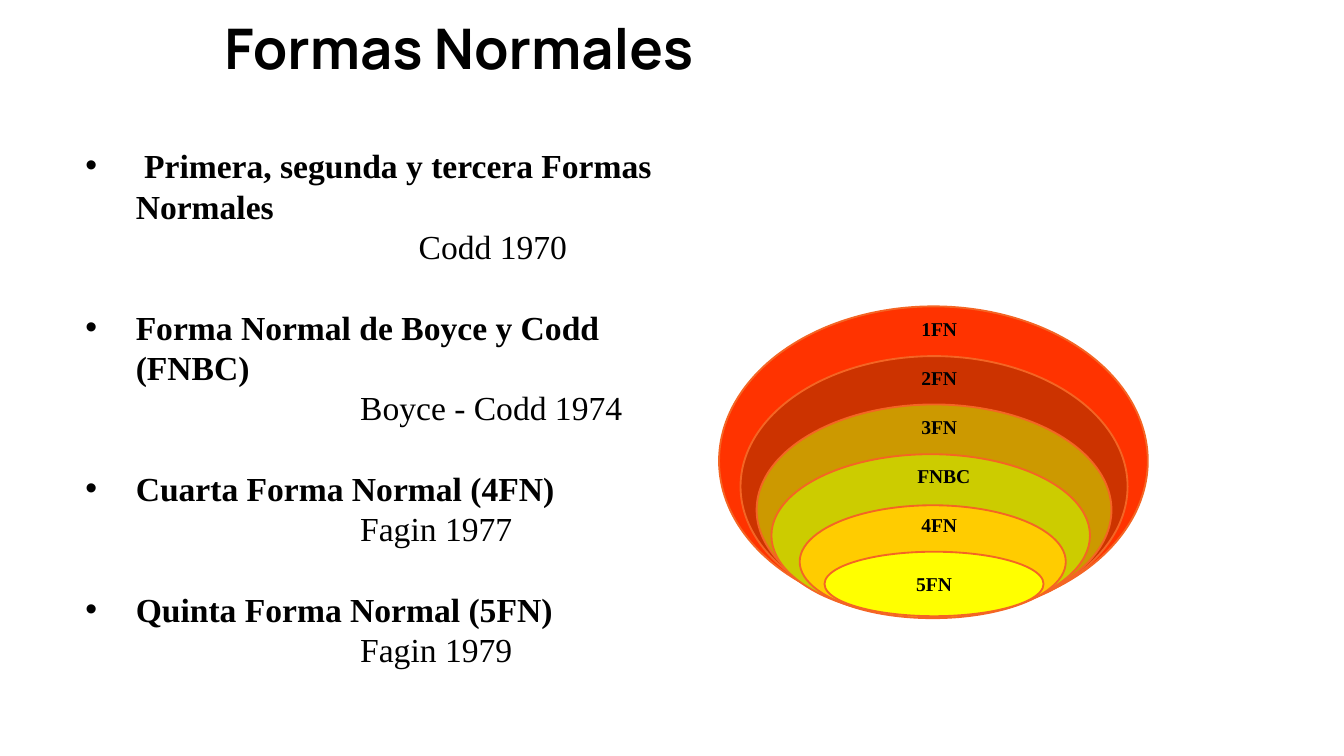
from lxml.etree import SubElement
from pptx import Presentation
from pptx.dml.color import RGBColor
from pptx.enum.shapes import MSO_SHAPE
from pptx.enum.text import MSO_ANCHOR, MSO_AUTO_SIZE, PP_ALIGN
from pptx.oxml.ns import qn
from pptx.util import Pt

PX = 4572  # EMU in one px, 200 px to the inch
BLACK = RGBColor(0x00, 0x00, 0x00)
ORANGE = RGBColor(0xF4, 0x65, 0x24)
RED = RGBColor(0xFF, 0x33, 0x00)
BRICK = RGBColor(0xCC, 0x33, 0x00)
OCHRE = RGBColor(0xCC, 0x99, 0x00)
LIME = RGBColor(0xCC, 0xCC, 0x00)
AMBER = RGBColor(0xFF, 0xCC, 0x00)
YELLOW = RGBColor(0xFF, 0xFF, 0x00)

# form, author and year, left indent of the author in px
FORMS = [
    (" Primera, segunda y tercera Formas Normales", "Codd 1970", 496),
    ("Forma Normal de Boyce y Codd (FNBC)", "Boyce - Codd 1974", 409),
    ("Cuarta Forma Normal (4FN)", "Fagin 1977", 409),
    ("Quinta Forma Normal (5FN)", "Fagin 1979", 409),
]
# left, top, width, height and fill, from the outermost level inwards
LEVELS = [
    (1070, 456, 638, 460, RED),
    (1102, 530, 576, 388, BRICK),
    (1126, 602, 528, 314, OCHRE),
    (1148, 676, 474, 242, LIME),
    (1190, 752, 396, 168, AMBER),
]
# text, left, top, width
LABELS = [
    ("1FN", 1356, 464, 85),
    ("2FN", 1356, 537, 85),
    ("3FN", 1356, 610, 85),
    ("FNBC", 1350, 683, 111),
    ("4FN", 1356, 756, 85),
]


class Slide:
    heading_font = "Manrope"
    text_font = "Times New Roman"
    bullet_font = "Arial"

    def __init__(self, deck):
        self.page = deck.slides.add_slide(deck.slide_layouts[1])
        self.shapes = self.page.shapes

    def place(self, shape, left, top, width, height):
        shape.left, shape.top = left * PX, top * PX
        shape.width, shape.height = width * PX, height * PX

    def inset(self, frame, side, end):
        frame.margin_left = frame.margin_right = side * PX
        frame.margin_top = frame.margin_bottom = end * PX

    def style(self, paragraph, size, bold=True, font=text_font):
        for span in paragraph.runs:
            span.font.name = font
            span.font.size = Pt(size)
            span.font.bold = bold
            span.font.color.rgb = BLACK

    def title(self, text, *bounds):
        box = self.shapes.title
        self.place(box, *bounds)
        frame = box.text_frame
        frame.text = text
        frame.auto_size = MSO_AUTO_SIZE.NONE
        frame.vertical_anchor = MSO_ANCHOR.TOP
        self.inset(frame, 20, 20)
        frame.paragraphs[0].alignment = PP_ALIGN.LEFT
        self.style(frame.paragraphs[0], 30, font=self.heading_font)

    def indent(self, paragraph, margin, first_line, bullet=None):
        properties = paragraph._p.get_or_add_pPr()
        properties.set("marL", str(margin * PX))
        properties.set("indent", str(first_line * PX))
        if bullet:
            color = SubElement(properties, qn("a:buClr"))
            SubElement(color, qn("a:srgbClr"), val=str(BLACK))
            SubElement(properties, qn("a:buFont"), typeface=self.bullet_font)
            SubElement(properties, qn("a:buChar"), char=bullet)
        else:
            SubElement(properties, qn("a:buNone"))

    def form_list(self, forms, *bounds):
        """Fill the body with bulleted forms, each followed by its author."""
        box = self.page.placeholders[1]
        self.place(box, *bounds)
        frame = box.text_frame
        frame.auto_size = MSO_AUTO_SIZE.NONE
        self.inset(frame, 15, 8)
        frame.text = "\n".join(line for form in forms for line in form[:2])
        for index, paragraph in enumerate(frame.paragraphs):
            is_form = index % 2 == 0
            if is_form:
                self.indent(paragraph, 75, -75, "•")
            else:
                self.indent(paragraph, forms[index // 2][2], 0)
            paragraph.line_spacing = 1.0
            paragraph.space_before = Pt(21.6 if is_form and index else 0)
            self.style(paragraph, 18, bold=is_form)

    def ellipse(self, left, top, width, height, fill, text=None):
        shape = self.shapes.add_shape(MSO_SHAPE.OVAL, *(n * PX for n in (left, top, width, height)))
        shape.shadow.inherit = False
        shape.fill.solid()
        shape.fill.fore_color.rgb = fill
        shape.line.color.rgb = ORANGE
        shape.line.width = Pt(1)
        if text:
            frame = shape.text_frame
            frame.text = text
            frame.word_wrap = False
            frame.vertical_anchor = MSO_ANCHOR.MIDDLE
            self.inset(frame, 15, 8)
            frame.paragraphs[0].alignment = PP_ALIGN.CENTER
            self.style(frame.paragraphs[0], 10.5)

    def label(self, text, left, top, width):
        box = self.shapes.add_textbox(left * PX, top * PX, width * PX, 50 * PX)
        frame = box.text_frame
        frame.text = text
        frame.word_wrap = False
        frame.auto_size = MSO_AUTO_SIZE.SHAPE_TO_FIT_TEXT
        self.inset(frame, 15, 8)
        self.style(frame.paragraphs[0], 10.5)


def main():
    deck = Presentation()
    deck.slide_width, deck.slide_height = 2000 * PX, 1125 * PX
    slide = Slide(deck)
    slide.title("Formas Normales", 314, 0, 1350, 224)
    slide.form_list(FORMS, 112, 208, 936, 802)
    for level in LEVELS:
        slide.ellipse(*level)
    slide.ellipse(1227, 821, 326, 96, YELLOW, "5FN")
    for label in LABELS:
        slide.label(*label)
    deck.save("out.pptx")


if __name__ == "__main__":
    main()
